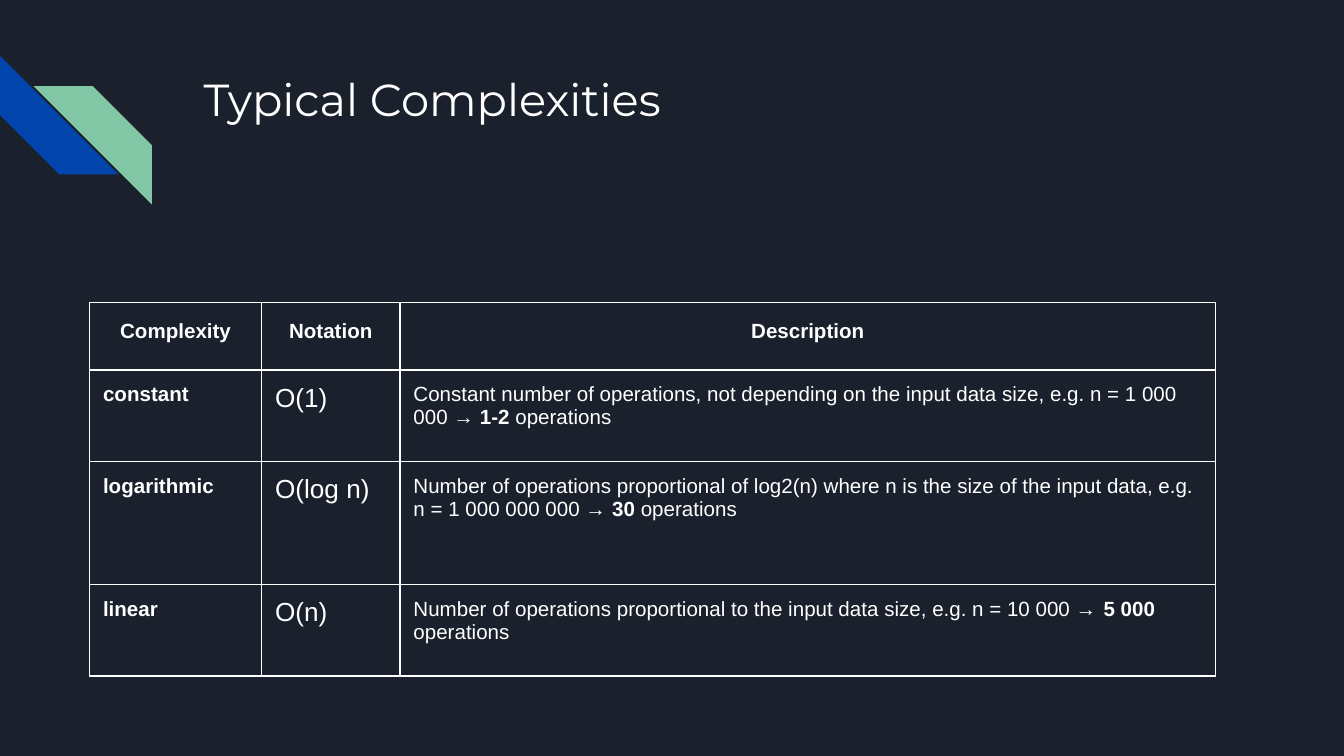
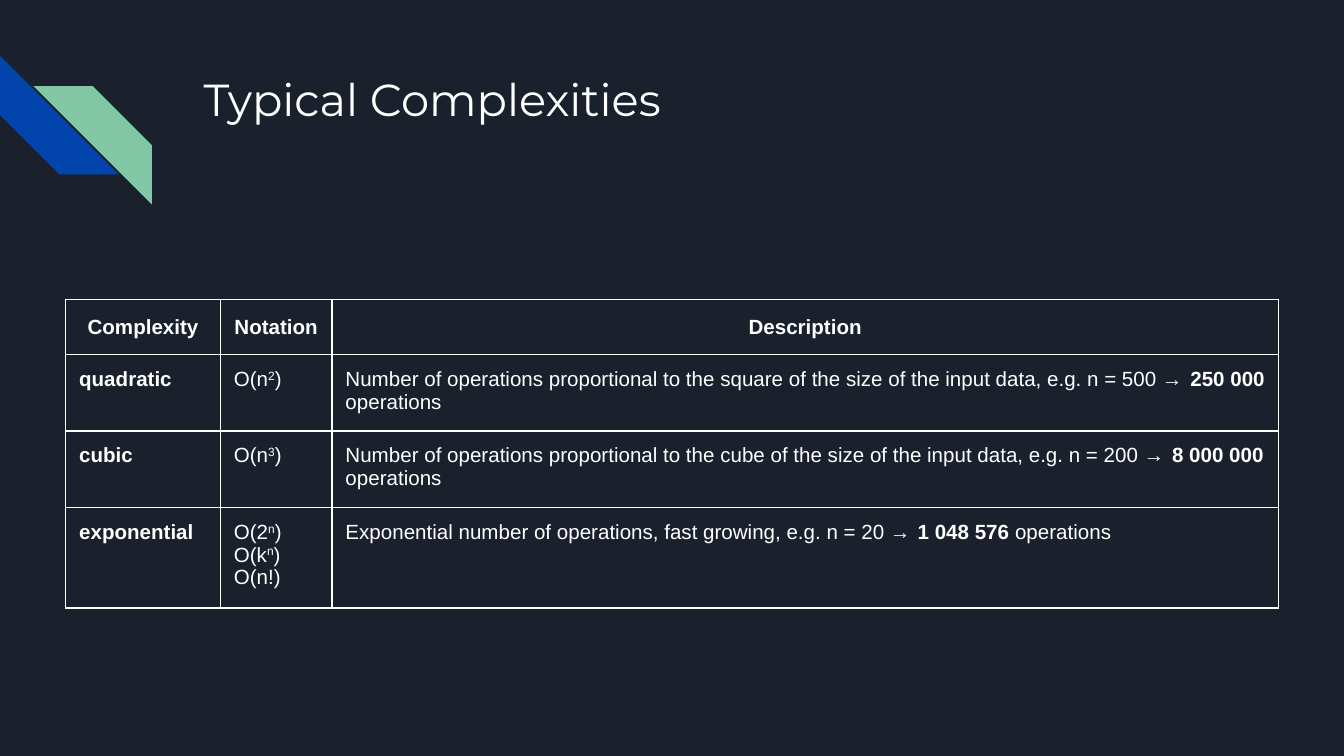
from lxml import etree
from pptx import Presentation
from pptx.dml.color import RGBColor
from pptx.enum import shapes, text
from pptx.oxml import ns
from pptx.util import Pt

NIGHT = RGBColor(0x1B, 0x21, 0x2C)
WHITE = RGBColor(0xFF, 0xFF, 0xFF)
BLUE = RGBColor(0x01, 0x45, 0xAC)
GREEN = RGBColor(0x82, 0xC7, 0xA5)
TITLE_FONT, TABLE_FONT = "Montserrat", "Arial"
TITLE_SIZE, TABLE_SIZE = 24, 11
INSET = 7.2
BORDER_WIDTH = 0.75

# left, top, rotation, colour
STRIPES = [(0, 30, 270, BLUE), (18, 46.2, 90, GREEN)]
STRIPE_SIZE = 63.4

TITLE = "Typical Complexities"
HEADINGS = ("Complexity", "Notation", "Description")

# Each row: complexity, notation lines, description, operation count.
# In a notation line every second part is an exponent.
SLIDES = [
    {
        "corner": (48, 162.2),
        "columns": (92.2, 74.1, 437),
        "heights": (36, 49, 66, 49),
        "notation_size": 14,
        "rows": [
            ("constant", [("O(1)",)],
             "Constant number of operations, not depending on the input data size, "
             "e.g. n = 1 000 000 → ", "1-2"),
            ("logarithmic", [("O(log n)",)],
             "Number of operations proportional of log2(n) where n is the size of "
             "the input data, e.g. n = 1 000 000 000 → ", "30"),
            ("linear", [("O(n)",)],
             "Number of operations proportional to the input data size, "
             "e.g. n = 10 000 → ", "5 000"),
        ],
    },
    {
        "corner": (35.2, 160.4),
        "columns": (82.9, 59.8, 507),
        "heights": (15, 17, 17, 44),
        "notation_size": TABLE_SIZE,
        "rows": [
            ("quadratic", [("O(n", "2", ")")],
             "Number of operations proportional to the square of the size of the "
             "input data, e.g. n = 500 → ", "250 000"),
            ("cubic", [("O(n", "3", ")")],
             "Number of operations proportional to the cube of the size of the "
             "input data, e.g. n = 200 → ", "8 000 000"),
            ("exponential", [("O(2", "n", ")"), ("O(k", "n", ")"), ("O(n!)",)],
             "Exponential number of operations, fast growing, e.g. n = 20 → ",
             "1 048 576"),
        ],
    },
]


def add_run(paragraph, wording, size=TABLE_SIZE, bold=False, font=TABLE_FONT):
    run = paragraph.add_run()
    run.text = wording
    run.font.name = font
    run.font.size = Pt(size)
    run.font.bold = bold
    run.font.color.rgb = WHITE
    return run


def set_insets(holder):
    for side in ("left", "top", "right", "bottom"):
        setattr(holder, f"margin_{side}", Pt(INSET))


def outline_cell(cell):
    properties = cell._tc.get_or_add_tcPr()
    for edge in ("a:lnL", "a:lnR", "a:lnT", "a:lnB"):
        line = etree.SubElement(properties, ns.qn(edge), w=str(Pt(BORDER_WIDTH)))
        fill = etree.SubElement(line, ns.qn("a:solidFill"))
        etree.SubElement(fill, ns.qn("a:srgbClr"), val=str(WHITE))


def write_heading(cell, heading):
    paragraph = cell.text_frame.paragraphs[0]
    paragraph.alignment = text.PP_ALIGN.CENTER
    paragraph.line_spacing = 1.15
    add_run(paragraph, heading, bold=True)


def write_notation(cell, lines, size):
    frame = cell.text_frame
    for number, parts in enumerate(lines):
        paragraph = frame.add_paragraph() if number else frame.paragraphs[0]
        for position, part in enumerate(parts):
            run = add_run(paragraph, part, size)
            if position % 2:
                run._r.get_or_add_rPr().set("baseline", "30000")


def write_description(cell, description, count):
    paragraph = cell.text_frame.paragraphs[0]
    add_run(paragraph, description)
    add_run(paragraph, count, bold=True)
    add_run(paragraph, " operations")


def add_frame(slide):
    """Background, corner stripes and title shared by the slides."""
    slide.background.fill.solid()
    slide.background.fill.fore_color.rgb = NIGHT
    for left, top, rotation, colour in STRIPES:
        stripe = slide.shapes.add_shape(
            shapes.MSO_SHAPE.DIAGONAL_STRIPE,
            Pt(left), Pt(top), Pt(STRIPE_SIZE), Pt(STRIPE_SIZE))
        stripe.rotation = rotation
        stripe.shadow.inherit = False
        stripe.fill.solid()
        stripe.fill.fore_color.rgb = colour
        stripe.line.fill.background()
    title = slide.shapes.add_textbox(Pt(102), Pt(31), Pt(554.4), Pt(72)).text_frame
    title.word_wrap = True
    set_insets(title)
    add_run(title.paragraphs[0], TITLE, TITLE_SIZE, font=TITLE_FONT)


def add_complexities(slide, content):
    left, top = content["corner"]
    columns, heights = content["columns"], content["heights"]
    table = slide.shapes.add_table(
        len(heights), len(columns), Pt(left), Pt(top),
        Pt(sum(columns)), Pt(sum(heights))).table
    table.first_row = table.horz_banding = False
    for column, width in zip(table.columns, columns):
        column.width = Pt(width)
    for row, height in zip(table.rows, heights):
        row.height = Pt(height)
    for cell in table.iter_cells():
        set_insets(cell)
        outline_cell(cell)
        cell.fill.background()

    for column, heading in enumerate(HEADINGS):
        write_heading(table.cell(0, column), heading)
    for row, (complexity, notation, description, count) in enumerate(content["rows"], 1):
        add_run(table.cell(row, 0).text_frame.paragraphs[0], complexity, bold=True)
        write_notation(table.cell(row, 1), notation, content["notation_size"])
        write_description(table.cell(row, 2), description, count)


def main():
    deck = Presentation()
    deck.slide_width, deck.slide_height = Pt(720), Pt(405)
    for content in SLIDES:
        slide = deck.slides.add_slide(deck.slide_layouts[6])
        add_frame(slide)
        add_complexities(slide, content)
    deck.save("out.pptx")


if __name__ == "__main__":
    main()
